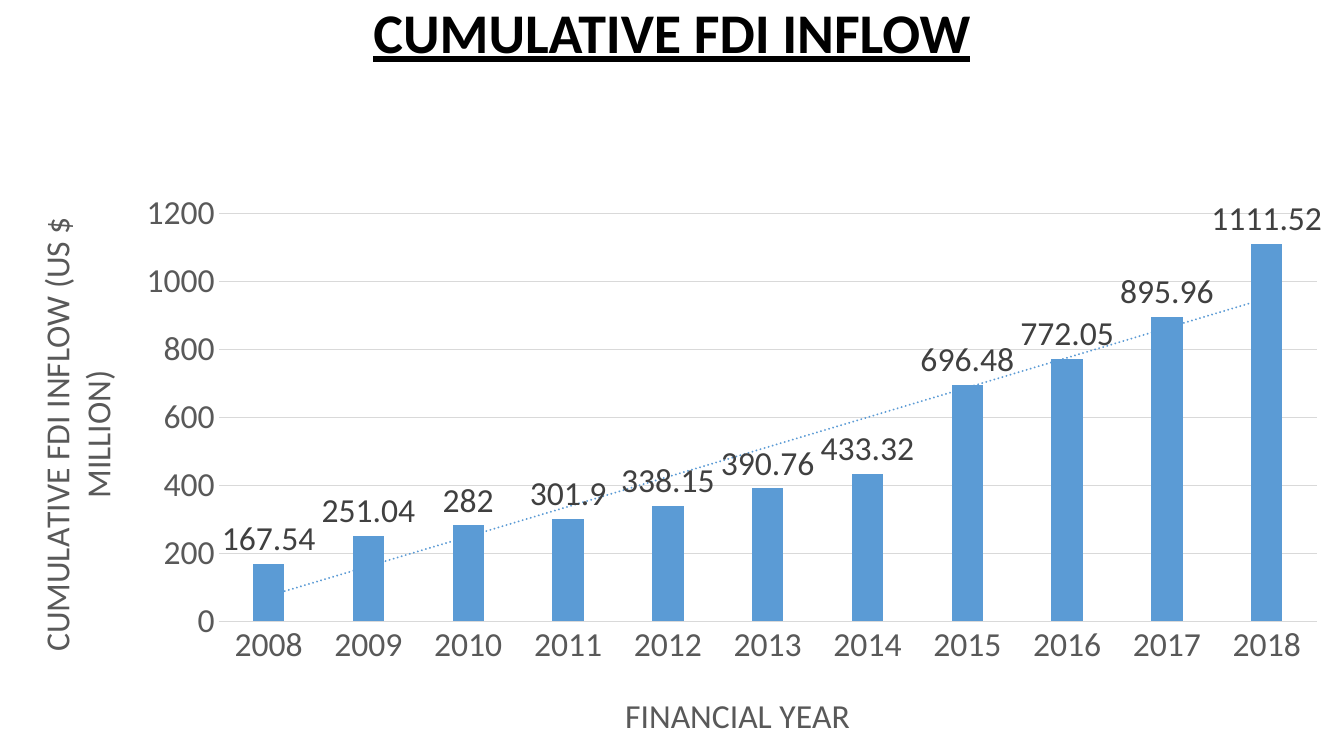
"""Build a slide with a column chart of cumulative FDI inflow."""
from dataclasses import dataclass

from lxml.etree import SubElement
from pptx import Presentation
from pptx.chart.data import CategoryChartData
from pptx.dml.color import RGBColor
from pptx.enum.chart import XL_CHART_TYPE, XL_LABEL_POSITION, XL_TICK_MARK
from pptx.enum.text import PP_ALIGN
from pptx.oxml import parse_xml
from pptx.oxml.ns import nsdecls, qn
from pptx.util import Inches, Pt


@dataclass(frozen=True)
class Theme:
    font: str = "Calibri"
    title_size: int = 40
    chart_size: int = 24
    title: str = "000000"
    axis: str = "595959"
    grid: str = "D9D9D9"
    label: str = "404040"
    column: str = "5B9BD5"


theme = Theme()


def style_font(font, size, color):
    font.name = theme.font
    font.size = Pt(size)
    font.bold = False
    font.color.rgb = RGBColor.from_string(color)


def make_layout(**places):
    layout = parse_xml(f"<c:layout {nsdecls('c')}/>")
    manual = SubElement(layout, qn("c:manualLayout"))
    if "w" in places:
        SubElement(manual, qn("c:layoutTarget")).set("val", "inner")
    for mode in ("xMode", "yMode"):
        SubElement(manual, qn(f"c:{mode}")).set("val", "edge")
    for name, fraction in places.items():
        SubElement(manual, qn(f"c:{name}")).set("val", str(fraction))
    return layout


presentation = Presentation()
presentation.slide_width = Inches(13.33)
presentation.slide_height = Inches(7.5)
slide = presentation.slides.add_slide(presentation.slide_layouts[6])

inflow_by_year = {
    "2008": 167.54, "2009": 251.04, "2010": 282, "2011": 301.9,
    "2012": 338.15, "2013": 390.76, "2014": 433.32, "2015": 696.48,
    "2016": 772.05, "2017": 895.96, "2018": 1111.52,
}
chart_data = CategoryChartData()
chart_data.categories = list(inflow_by_year)
chart_data.add_series("Series 1", list(inflow_by_year.values()))
chart = slide.shapes.add_chart(
    XL_CHART_TYPE.COLUMN_CLUSTERED,
    Inches(0.01), Inches(1.81), Inches(13.33), Inches(5.69), chart_data,
).chart
chart.has_title = False
chart.has_legend = False
style_font(chart.font, theme.chart_size, theme.title)

plot = chart.plots[0]
plot.gap_width = 219
plot.overlap = -27
plot.vary_by_categories = False
series = plot.series[0]
series.format.fill.solid()
series.format.fill.fore_color.rgb = RGBColor.from_string(theme.column)

labels = series.data_labels
labels.show_value = True
labels.position = XL_LABEL_POSITION.OUTSIDE_END
style_font(labels.font, theme.chart_size, theme.label)

trendline = parse_xml(
    f"<c:trendline {nsdecls('c', 'a')}>"
    f'<c:spPr><a:ln w="{Pt(1.5)}" cap="rnd"><a:solidFill>'
    f'<a:srgbClr val="{theme.column}"/></a:solidFill>'
    '<a:prstDash val="sysDot"/></a:ln></c:spPr>'
    '<c:trendlineType val="linear"/><c:dispRSqr val="0"/><c:dispEq val="0"/>'
    "</c:trendline>"
)
series._element.find(qn("c:cat")).addprevious(trendline)

year_axis, inflow_axis = chart.category_axis, chart.value_axis
axis_titles = (
    (year_axis, "FINANCIAL YEAR", 0, make_layout(x=0.46, y=0.88)),
    (inflow_axis, "CUMULATIVE FDI INFLOW (US $ MILLION)", -90, make_layout(x=0.02, y=0.05)),
)
for axis, text, degrees, title_layout in axis_titles:
    axis.major_tick_mark = XL_TICK_MARK.NONE
    axis.minor_tick_mark = XL_TICK_MARK.NONE
    style_font(axis.tick_labels.font, theme.chart_size, theme.axis)
    frame = axis.axis_title.text_frame
    run = frame.paragraphs[0].add_run()
    run.text = text
    style_font(run.font, theme.chart_size, theme.axis)
    frame._txBody.bodyPr.set("rot", str(degrees * 60000))
    frame._txBody.bodyPr.set("vert", "horz")
    title = axis.axis_title._element
    for old_layout in title.findall(qn("c:layout")):
        title.remove(old_layout)
    title.find(qn("c:tx")).addnext(title_layout)

inflow_axis.minimum_scale = 0
inflow_axis.maximum_scale = 1200
inflow_axis.major_unit = 200
inflow_axis.has_major_gridlines = True
inflow_axis.format.line.fill.background()
for line in (year_axis.format.line, inflow_axis.major_gridlines.format.line):
    line.color.rgb = RGBColor.from_string(theme.grid)
    line.width = Pt(0.75)

plot_area = chart._chartSpace.chart.plotArea
for old_layout in plot_area.findall(qn("c:layout")):
    plot_area.remove(old_layout)
plot_area.insert(0, make_layout(x=0.162, y=0.055, w=0.817, h=0.71))

title_box = slide.shapes.add_textbox(0, 0, Inches(13.33), Inches(1.81))
title_box.text_frame.word_wrap = True
paragraph = title_box.text_frame.paragraphs[0]
paragraph.alignment = PP_ALIGN.CENTER
paragraph.line_spacing = 0.9
paragraph.space_before = Pt(10)
run = paragraph.add_run()
run.text = "CUMULATIVE FDI INFLOW"
style_font(run.font, theme.title_size, theme.title)
run.font.bold = True
run.font.underline = True

presentation.save("out.pptx")
